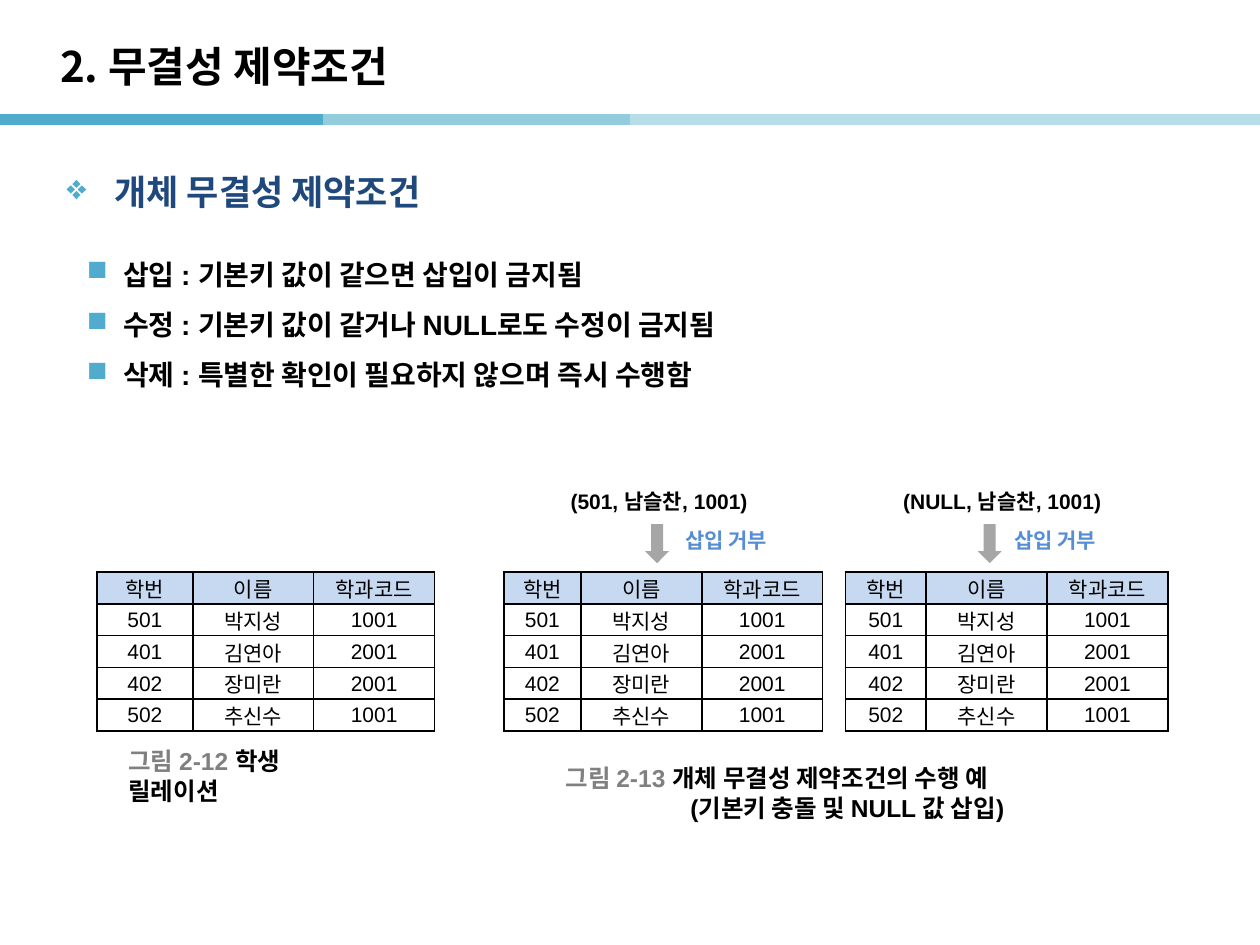
"""Build the slide on entity integrity constraints."""
from lxml import etree
from pptx import Presentation
from pptx.dml.color import RGBColor
from pptx.enum.shapes import MSO_CONNECTOR as Connector, MSO_SHAPE as Shape
from pptx.enum.text import MSO_ANCHOR as Anchor, PP_ALIGN as Align
from pptx.oxml.ns import qn
from pptx.util import Inches, Pt


def color(value):
    return RGBColor.from_string(value)


def write_text(frame, *paragraphs, size=12, font="Arial", fill="000000", bold=True, align=None,
               anchor=Anchor.TOP, wrap=True, hanging=0, bullet=None, spacing=None):
    frame.word_wrap = wrap
    frame.vertical_anchor = anchor
    for index, runs in enumerate(paragraphs):
        paragraph = frame.add_paragraph() if index else frame.paragraphs[0]
        paragraph.alignment = align
        paragraph.line_spacing = spacing
        properties = paragraph._p.get_or_add_pPr()
        if hanging:
            properties.set("marL", str(Inches(hanging)))
            properties.set("indent", str(-Inches(hanging)))
        if bullet:
            bullet_color = etree.SubElement(properties, qn("a:buClr"))
            etree.SubElement(bullet_color, qn("a:srgbClr"), val="50ABCC")
            etree.SubElement(properties, qn("a:buChar"), char=bullet)
        for text, run_fill in [(runs, fill)] if isinstance(runs, str) else runs:
            for number, line in enumerate(text.split("\n")):
                if number:
                    paragraph.add_line_break()
                run = paragraph.add_run()
                run.text = line
                run.font.size = Pt(size)
                run.font.name = font
                run.font.bold = bold
                run.font.color.rgb = color(run_fill)


presentation = Presentation()
presentation.slide_width = Inches(10)
presentation.slide_height = Inches(7.5)
slide = presentation.slides.add_slide(presentation.slide_layouts[6])
shapes = slide.shapes

for left, line_color in [(0, "50ABCC"), (2.56, "93CDDD"), (5, "B7DEE8"), (7.46, "B7DEE8")]:
    line = shapes.add_connector(Connector.STRAIGHT, Inches(left), Inches(0.95),
                                Inches(left + 2.56), Inches(0.95))
    line.line.color.rgb = color(line_color)
    line.line.width = Pt(6)
    etree.SubElement(line._element.spPr, qn("a:effectLst"))

students = [
    ("학번", "이름", "학과코드"),
    ("501", "박지성", "1001"),
    ("401", "김연아", "2001"),
    ("402", "장미란", "2001"),
    ("502", "추신수", "1001"),
]
for left, first_width in [(0.77, 0.76), (4, 0.61), (6.71, 0.64)]:
    widths = [first_width, 0.96, 0.96]
    table = shapes.add_table(len(students), len(widths), Inches(left), Inches(4.54),
                             Inches(sum(widths)), Inches(1.22)).table
    for column, width in zip(table.columns, widths):
        column.width = Inches(width)
    for row_index, student in enumerate(students):
        for column_index, value in enumerate(student):
            cell = table.cell(row_index, column_index)
            cell.margin_left = cell.margin_right = cell.margin_top = Inches(0.01)
            cell.margin_bottom = 0
            cell.vertical_anchor = Anchor.MIDDLE
            cell_properties = cell._tc.get_or_add_tcPr()
            for side in ("lnL", "lnR", "lnT", "lnB"):
                border = etree.SubElement(cell_properties, qn(f"a:{side}"), w=str(Pt(1)))
                border_fill = etree.SubElement(border, qn("a:solidFill"))
                etree.SubElement(border_fill, qn("a:srgbClr"), val="000000")
            cell.fill.solid()
            cell.fill.fore_color.rgb = color("FFFFFF" if row_index else "C6D9F1")
            write_text(cell.text_frame, value, bold=False, align=Align.CENTER,
                       anchor=Anchor.MIDDLE)

for left in (5.06, 7.7):
    arrow = shapes.add_shape(Shape.RIGHT_ARROW, Inches(left), Inches(4.22),
                             Inches(0.31), Inches(0.19))
    arrow.rotation = 90
    arrow.shadow.inherit = False
    arrow.fill.solid()
    arrow.fill.fore_color.rgb = color("A6A6A6")
    arrow.line.fill.background()

middle = {"anchor": Anchor.MIDDLE}
caption = {"size": 14, "wrap": False, **middle}
rejection = {"fill": "558ED5"}
text_boxes = [
    (0.38, 0.22, 8.27, 0.6, ["2. 무결성 제약조건"],
     {"size": 24, "font": "Noto Sans CJK KR", **middle}),
    (0.92, 5.88, 2.05, 0.55, [[("그림 2-12 ", "808080"), ("학생 릴레이션", "000000")]], caption),
    (4.43, 3.83, 1.72, 0.3, ["(501, 남슬찬, 1001)"], {"wrap": False}),
    (7.07, 3.83, 1.86, 0.3, ["(NULL, 남슬찬, 1001)"], {"wrap": False}),
    (5.34, 4.14, 1.38, 0.3, ["삽입 거부"], rejection),
    (7.95, 4.14, 1.38, 0.3, ["삽입 거부"], rejection),
    (4.39, 5.95, 4.29, 0.68,
     [[("그림 2-13 ", "808080"),
       ("개체 무결성 제약조건의 수행 예\n(기본키 충돌 및 NULL 값 삽입)", "000000")]],
     {"hanging": 0.99, **caption}),
    (0.43, 1.25, 8.82, 0.54, ["개체 무결성 제약조건"],
     {"size": 20, "fill": "1F497D", "hanging": 0.38, "bullet": "❖", **middle}),
    (0.59, 1.86, 8.82, 1.02,
     ["삽입 : 기본키 값이 같으면 삽입이 금지됨",
      "수정 : 기본키 값이 같거나 NULL로도 수정이 금지됨",
      "삭제 : 특별한 확인이 필요하지 않으며 즉시 수행함"],
     {"size": 16, "hanging": 0.29, "bullet": "■", "spacing": 1.5}),
]
for left, top, width, height, paragraphs, text_format in text_boxes:
    box = shapes.add_textbox(Inches(left), Inches(top), Inches(width), Inches(height))
    write_text(box.text_frame, *paragraphs, **text_format)

presentation.save("out.pptx")
